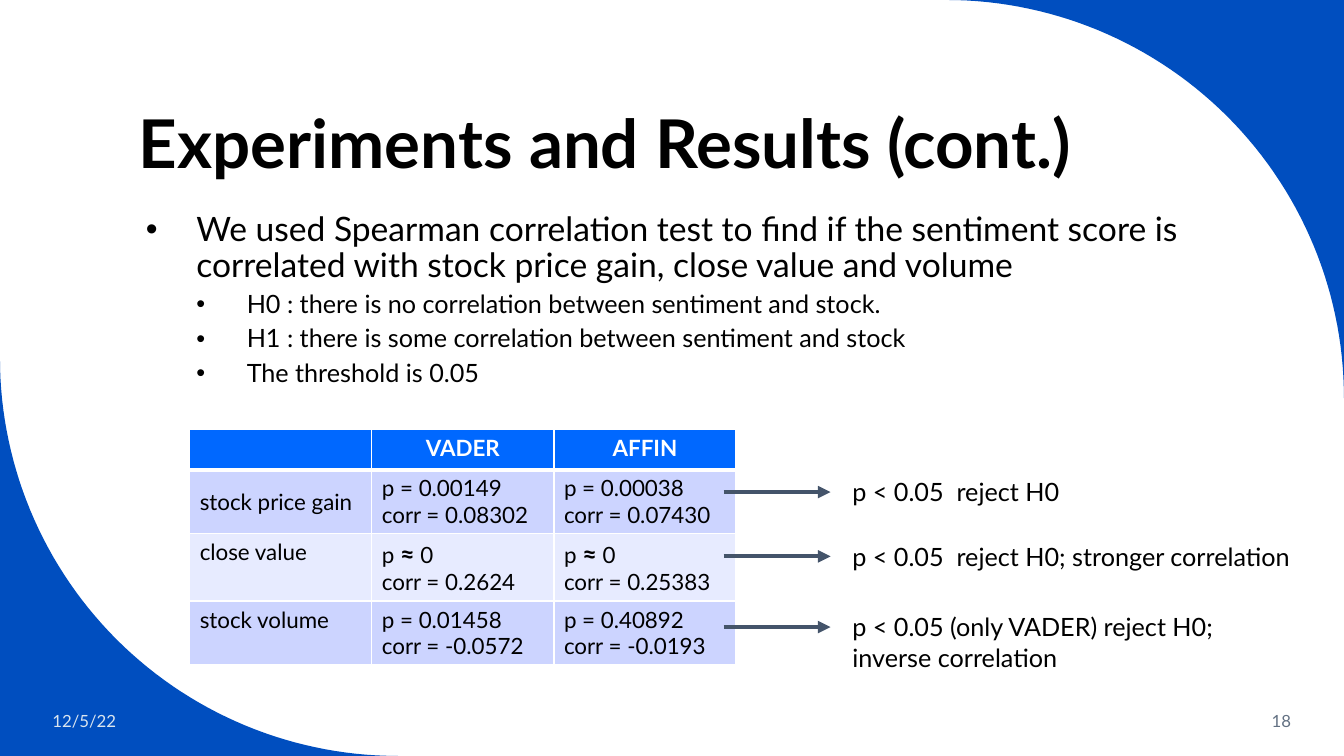
"""Builds a slide with Spearman correlation results for two sentiment scores."""
from math import cos, pi, sin

from lxml.etree import SubElement
from pptx import Presentation
from pptx.dml.color import RGBColor
from pptx.enum.shapes import MSO_CONNECTOR as Connector
from pptx.enum.text import MSO_ANCHOR as Anchor, PP_ALIGN as Align
from pptx.oxml import parse_xml
from pptx.oxml.ns import nsdecls, qn
from pptx.util import Cm, Pt

FONT = "Lato"
BLACK, WHITE, BLUE, ARROW = "000000", "FFFFFF", "004EBF", "44546A"
HEADER_FILL, BAND_FILLS = "0068FF", ("CCD4FF", "E7EBFF")
WIDTH, HEIGHT, RADIUS = 33.87, 19.05, 10.03

TITLE = "Experiments and Results (cont.)"
BULLETS = [
    (0, "We used Spearman correlation test to find if the sentiment score is "
        "correlated with stock price gain, close value and volume"),
    (1, "H0 : there is no correlation between sentiment and stock."),
    (1, "H1 : there is some correlation between sentiment and stock"),
    (1, "The threshold is 0.05"),
]
BULLET_STYLES = [dict(size=24, before=10), dict(size=18, before=5)]
RESULTS = [
    ("", "VADER", "AFFIN"),
    ("stock price gain", "p = 0.00149\ncorr = 0.08302", "p = 0.00038\ncorr = 0.07430"),
    ("close value", "p ≈ 0\ncorr = 0.2624", "p ≈ 0\ncorr = 0.25383"),
    ("stock volume", "p = 0.01458\ncorr = -0.0572", "p = 0.40892\ncorr = -0.0193"),
]
ROW_HEIGHTS = (0.91, 1.6, 1.7, 1.6)
COLUMN_WIDTH = 4.59
FINDINGS = [
    (12.4, "p < 0.05  reject H0"),
    (14.02, "p < 0.05  reject H0; stronger correlation"),
    (15.8, "p < 0.05 (only VADER) reject H0;\ninverse correlation"),
]
FOOTERS = [
    (1.07, "12/5/22", "DAE5EF", Align.LEFT),
    (28.19, "18", "637183", Align.RIGHT),
]


def paint(target, color):
    target.solid()
    target.fore_color.rgb = RGBColor.from_string(color)


def add_span(para, text, size, color, bold):
    span = para.add_run()
    span.text = text
    span.font.name, span.font.size, span.font.bold = FONT, Pt(size), bold
    paint(span.font.fill, color)


def write(frame, text, size=18, color=BLACK, bold=False, align=Align.LEFT,
          anchor=Anchor.TOP):
    frame.word_wrap = True
    frame.vertical_anchor = anchor
    for index, line in enumerate(text.split("\n")):
        para = frame.add_paragraph() if index else frame.paragraphs[0]
        para.alignment = align
        before, sign, after = line.partition("≈")
        add_span(para, before, size, color, bold)
        if sign:
            add_span(para, sign, size + 2, color, True)
            add_span(para, after, size, color, bold)


def add_box(page, left, top, width, height):
    return page.shapes.add_textbox(Cm(left), Cm(top), Cm(width), Cm(height)).text_frame


def add_corner(page, corner_x, corner_y, center_x, center_y, start):
    angles = [start + pi / 2 * step / 60 for step in range(61)]
    arc = [(Cm(center_x + RADIUS * cos(angle)), Cm(center_y + RADIUS * sin(angle)))
           for angle in angles]
    builder = page.shapes.build_freeform(Cm(corner_x), Cm(corner_y))
    builder.add_line_segments(arc, close=True)
    corner = builder.convert_to_shape()
    corner.shadow.inherit = False
    paint(corner.fill, BLUE)
    corner.line.fill.background()


def add_bullets(page):
    frame = add_box(page, 3.43, 5.23, 27.15, 9.35)
    frame.word_wrap = True
    for index, (level, text) in enumerate(BULLETS):
        style = BULLET_STYLES[level]
        para = frame.add_paragraph() if index else frame.paragraphs[0]
        para.level = level
        para.line_spacing = 0.9
        para.space_before = Pt(style["before"])
        add_span(para, text, style["size"], BLACK, False)
        properties = para._p.get_or_add_pPr()
        properties.set("marL", str(Cm(1.27 * (level + 1))))
        properties.set("indent", str(Cm(-1.27)))
        SubElement(properties, qn("a:buFont")).set("typeface", "Arial")
        SubElement(properties, qn("a:buChar")).set("char", "•")


def add_borders(cell, bottom):
    properties = cell._tc.get_or_add_tcPr()
    for index, (side, points) in enumerate(zip("LRTB", (1, 1, 1, bottom))):
        properties.insert(index, parse_xml(
            f'<a:ln{side} {nsdecls("a")} w="{Pt(points)}"><a:solidFill>'
            f'<a:srgbClr val="{WHITE}"/></a:solidFill></a:ln{side}>'))


def add_results(page):
    columns = len(RESULTS[0])
    table = page.shapes.add_table(
        len(RESULTS), columns, Cm(4.78), Cm(10.82),
        Cm(COLUMN_WIDTH * columns), Cm(sum(ROW_HEIGHTS))).table
    for column in table.columns:
        column.width = Cm(COLUMN_WIDTH)
    for row, texts in enumerate(RESULTS):
        table.rows[row].height = Cm(ROW_HEIGHTS[row])
        header = row == 0
        for column, text in enumerate(texts):
            cell = table.cell(row, column)
            write(cell.text_frame, text, size=16, bold=header,
                  color=WHITE if header else BLACK,
                  align=Align.CENTER if header else Align.LEFT)
            cell.vertical_anchor = Anchor.MIDDLE if (row, column) == (1, 0) else Anchor.TOP
            paint(cell.fill, HEADER_FILL if header else BAND_FILLS[(row - 1) % 2])
            add_borders(cell, 3 if header else 1)


def add_finding(page, middle, text):
    arrow = page.shapes.add_connector(
        Connector.STRAIGHT, Cm(18.24), Cm(middle), Cm(20.93), Cm(middle))
    arrow.line.width = Pt(3)
    paint(arrow.line.fill, ARROW)
    SubElement(arrow.line._get_or_add_ln(), qn("a:tailEnd")).set("type", "triangle")
    SubElement(arrow._element.spPr, qn("a:effectLst"))
    write(add_box(page, 21.23, middle - 0.51, 11.6, 1.03), text)


def main():
    deck = Presentation()
    deck.slide_width, deck.slide_height = Cm(WIDTH), Cm(HEIGHT)
    page = deck.slides.add_slide(deck.slide_layouts[6])
    add_corner(page, WIDTH, 0, WIDTH - RADIUS, RADIUS, -pi / 2)
    add_corner(page, 0, HEIGHT, RADIUS, HEIGHT - RADIUS, pi / 2)
    title = add_box(page, 3.25, 1.07, 27.15, 3.68)
    write(title, TITLE, size=48, bold=True, anchor=Anchor.BOTTOM)
    title.paragraphs[0].line_spacing = 0.9
    add_bullets(page)
    for left, text, color, align in FOOTERS:
        write(add_box(page, left, 17.65, 4.6, 1.02), text, size=12, color=color,
              align=align, anchor=Anchor.MIDDLE)
    add_results(page)
    for middle, text in FINDINGS:
        add_finding(page, middle, text)
    deck.save("out.pptx")


if __name__ == "__main__":
    main()
